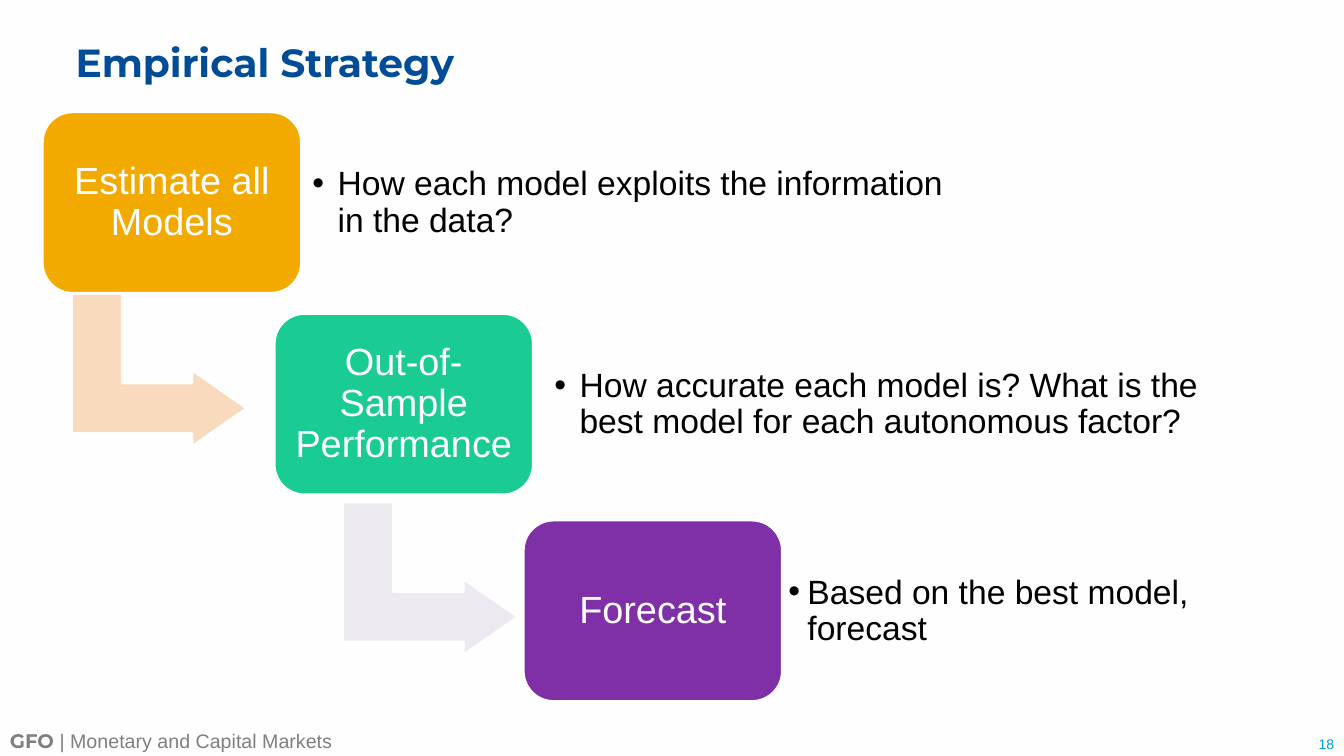
from dataclasses import dataclass
from typing import Any

from lxml.etree import SubElement
from pptx import Presentation
from pptx.dml.color import RGBColor
from pptx.enum.shapes import MSO_SHAPE
from pptx.enum.text import MSO_ANCHOR, PP_ALIGN
from pptx.oxml.ns import qn
from pptx.util import Inches, Pt

WHITE = RGBColor(0xFE, 0xFE, 0xFE)
BLACK = RGBColor(0x00, 0x00, 0x00)
NAVY = RGBColor(0x00, 0x4C, 0x97)
SKY = RGBColor(0x00, 0x9C, 0xDE)
GRAY = RGBColor(0x7F, 0x7F, 0x7F)
AMBER = RGBColor(0xF2, 0xA9, 0x00)
GREEN = RGBColor(0x1A, 0xCB, 0x93)
PURPLE = RGBColor(0x80, 0x30, 0xA7)
PEACH = RGBColor(0xF9, 0xDA, 0xBD)
LILAC = RGBColor(0xED, 0xE9, 0xF1)

BOX_W, BOX_H = 2.57, 1.8
ARROW_W, ARROW_H = 1.52, 1.74
NOTE_H = 1.45
NOTE_DROP = 0.18


@dataclass(frozen=True)
class Step:
    label: str
    note: str
    fill: RGBColor
    left: float
    top: float
    note_left: float
    note_width: float
    indent: float = 0.25


@dataclass(frozen=True)
class Arrow:
    left: float
    top: float
    fill: RGBColor


STEPS = [
    Step("Estimate all Models", "How each model exploits the information in the data?",
         AMBER, 0.42, 1.11, 3, 6.5),
    Step("Out-of-Sample Performance",
         "How accurate each model is? What is the best model for each autonomous factor?",
         GREEN, 2.72, 3.11, 5.4, 6.87),
    Step("Forecast", "Based on the best model, forecast",
         PURPLE, 5.19, 5.16, 7.72, 5.37, 0.19),
]
ARROWS = [Arrow(0.82, 2.8, PEACH), Arrow(3.51, 4.87, LILAC)]


def apply(target: Any, values: dict[str, Any]) -> None:
    for name, value in values.items():
        setattr(target, name, value)


def set_frame(tf: Any, inset: float, anchor: MSO_ANCHOR = MSO_ANCHOR.MIDDLE) -> None:
    sides = ("margin_left", "margin_top", "margin_right", "margin_bottom")
    apply(tf, {"word_wrap": True, "vertical_anchor": anchor,
               **{side: Inches(inset) for side in sides}})


def add_run(p: Any, text: str, size: float, color: RGBColor,
            font: str = "Arial", bold: bool = False) -> None:
    r = p.add_run()
    r.text = text
    apply(r.font, {"name": font, "size": Pt(size), "bold": bold})
    r.font.color.rgb = color


def add_box(s: Any, kind: MSO_SHAPE, left: float, top: float, width: float,
            height: float, fill: RGBColor, adjustments: list[float]) -> Any:
    sp = s.shapes.add_shape(kind, Inches(left), Inches(top), Inches(width), Inches(height))
    sp.shadow.inherit = False
    sp.fill.solid()
    sp.fill.fore_color.rgb = fill
    sp.line.color.rgb = WHITE
    sp.line.width = Pt(2)
    for i, value in enumerate(adjustments):
        sp.adjustments[i] = value
    return sp


def add_text(s: Any, left: float, top: float, width: float, height: float) -> Any:
    return s.shapes.add_textbox(Inches(left), Inches(top), Inches(width), Inches(height)).text_frame


def add_arrow(s: Any, arrow: Arrow) -> None:
    sp = add_box(s, MSO_SHAPE.BENT_UP_ARROW, arrow.left, arrow.top, ARROW_W, ARROW_H,
                 arrow.fill, [0.33, 0.25, 0.36])
    sp.rotation = 90


def add_step(s: Any, step: Step) -> None:
    sp = add_box(s, MSO_SHAPE.ROUNDED_RECTANGLE, step.left, step.top, BOX_W, BOX_H,
                 step.fill, [0.167])
    set_frame(sp.text_frame, 0.11)
    p = sp.text_frame.paragraphs[0]
    apply(p, {"alignment": PP_ALIGN.CENTER, "line_spacing": 0.9})
    add_run(p, step.label, 27, WHITE)

    tf = add_text(s, step.note_left, step.top + NOTE_DROP, step.note_width, NOTE_H)
    set_frame(tf, 0.1)
    p = tf.paragraphs[0]
    apply(p, {"level": 1, "line_spacing": 0.9})
    add_run(p, step.note, 24, BLACK)
    pPr = p._p.get_or_add_pPr()
    pPr.set("marL", str(Inches(step.indent)))
    pPr.set("indent", str(-Inches(step.indent)))
    SubElement(pPr, qn("a:buFont")).set("typeface", "Arial")
    SubElement(pPr, qn("a:buChar")).set("char", "•")


def add_footer(s: Any) -> None:
    tf = add_text(s, 0, 7.18, 10, 0.34)
    tf.word_wrap = True
    p = tf.paragraphs[0]
    add_run(p, "GFO ", 14, GRAY, "Montserrat", True)
    add_run(p, "| Monetary and Capital Markets", 14, GRAY)

    tf = add_text(s, 12.01, 7.24, 1.32, 0.27)
    apply(tf, {"word_wrap": True, "vertical_anchor": MSO_ANCHOR.BOTTOM})
    p = tf.paragraphs[0]
    p.alignment = PP_ALIGN.RIGHT
    add_run(p, "18", 10, SKY)


def add_title(s: Any) -> None:
    sp = s.shapes.title
    apply(sp, {"left": Inches(0.75), "top": Inches(0.11),
               "width": Inches(10.62), "height": Inches(1.07)})
    set_frame(sp.text_frame, 0)
    p = sp.text_frame.paragraphs[0]
    apply(p, {"alignment": PP_ALIGN.LEFT, "line_spacing": 0.9})
    add_run(p, "Empirical Strategy", 28, NAVY, "Montserrat", True)


def main() -> None:
    prs = Presentation()
    apply(prs, {"slide_width": Inches(13.33), "slide_height": Inches(7.5)})
    s = prs.slides.add_slide(prs.slide_layouts[5])
    s.background.fill.solid()
    s.background.fill.fore_color.rgb = WHITE
    add_title(s)
    for arrow in ARROWS:
        add_arrow(s, arrow)
    for step in STEPS:
        add_step(s, step)
    add_footer(s)
    prs.save("out.pptx")


if __name__ == "__main__":
    main()
